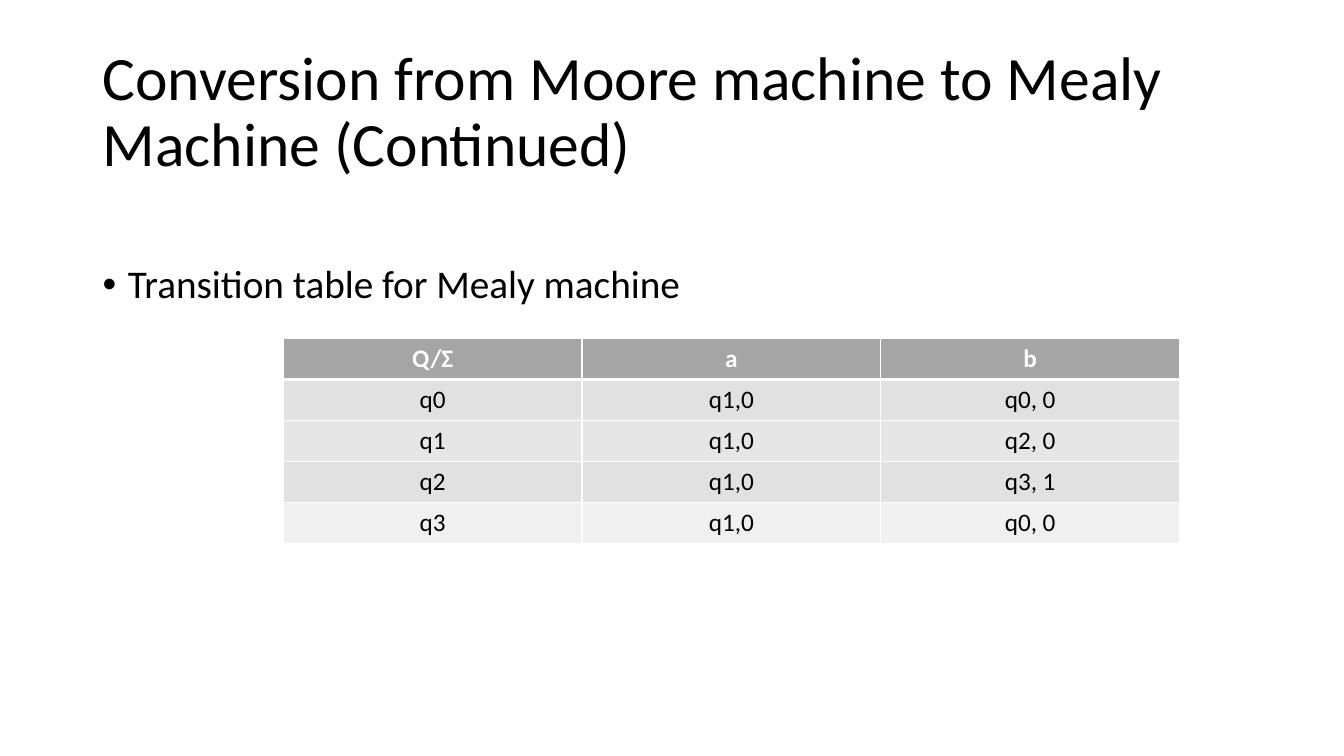
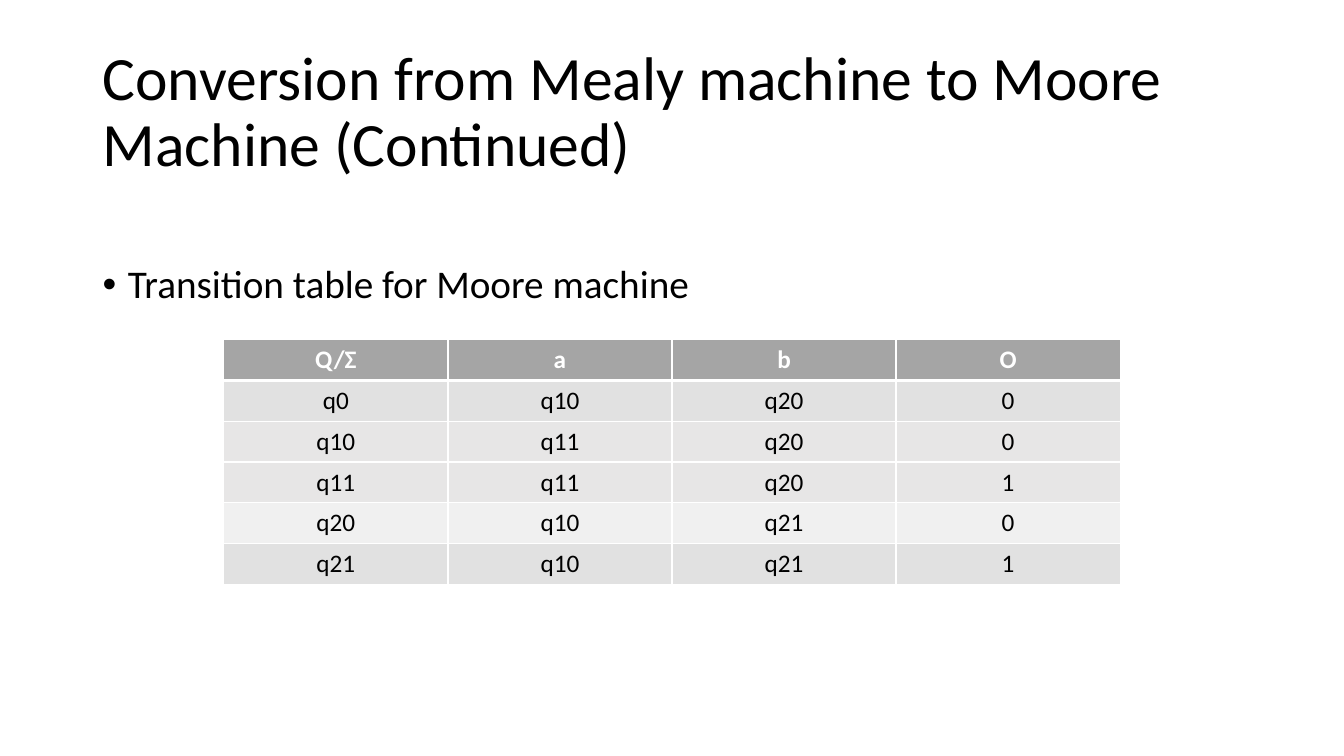
from dataclasses import dataclass

from lxml import etree
from pptx import Presentation
from pptx.dml.color import RGBColor
from pptx.enum.text import MSO_ANCHOR, PP_ALIGN
from pptx.oxml.ns import qn
from pptx.util import Inches, Pt


@dataclass(frozen=True)
class Theme:
    font: str = "Calibri"
    title_size: int = 44
    bullet_size: int = 28
    table_size: int = 18
    line_spacing: float = 0.9
    ink: str = "000000"
    white: str = "FFFFFF"
    header: str = "A5A5A5"
    dark: str = "E1E1E1"
    medium: str = "E7E6E6"
    light: str = "F0F0F0"
    thin_line: int = 1
    header_line: int = 3


THEME = Theme()
MARGIN, TEXT_WIDTH = 0.92, 11.5
TABLE_WIDTH = 8.89

SLIDES = [
    {
        "title": "Conversion from Moore machine to Mealy Machine (Continued)",
        "bullet": "Transition table for Mealy machine",
        "table_left": 2.81, "table_top": 3.36, "table_height": 2.03,
        "header": ("Q/Σ", "a", "b"),
        "rows": [
            (THEME.dark, ("q0", "q1,0", "q0, 0")),
            (THEME.medium, ("q1", "q1,0", "q2, 0")),
            (THEME.dark, ("q2", "q1,0", "q3, 1")),
            (THEME.light, ("q3", "q1,0", "q0, 0")),
        ],
    },
    {
        "title": "Conversion from Mealy machine to Moore Machine (Continued)",
        "bullet": "Transition table for Moore machine",
        "table_left": 2.22, "table_top": 3.37, "table_height": 2.43,
        "header": ("Q/Σ", "a", "b", "O"),
        "rows": [
            (THEME.dark, ("q0", "q10", "q20", "0")),
            (THEME.medium, ("q10", "q11", "q20", "0")),
            (THEME.medium, ("q11", "q11", "q20", "1")),
            (THEME.light, ("q20", "q10", "q21", "0")),
            (THEME.dark, ("q21", "q10", "q21", "1")),
        ],
    },
]


def style_runs(para, size, color=THEME.ink, bold=False):
    for span in para.runs:
        span.font.name = THEME.font
        span.font.size = Pt(size)
        span.font.bold = bold
        span.font.color.rgb = RGBColor.from_string(color)


def add_text(page, text, top, height, size, anchor):
    box = page.shapes.add_textbox(
        Inches(MARGIN), Inches(top), Inches(TEXT_WIDTH), Inches(height))
    frame = box.text_frame
    frame.word_wrap = True
    frame.vertical_anchor = anchor
    frame.text = text
    para = frame.paragraphs[0]
    para.line_spacing = THEME.line_spacing
    style_runs(para, size)
    return para


def add_bullet(para):
    """Give the paragraph a round bullet with a hanging indent."""
    properties = para._p.get_or_add_pPr()
    properties.set("marL", str(Inches(0.25)))
    properties.set("indent", str(-Inches(0.25)))
    etree.SubElement(properties, qn("a:buFont"), typeface="Arial")
    etree.SubElement(properties, qn("a:buChar"), char="•")


def set_borders(cell, top, bottom):
    """Draw white cell borders; top and bottom are widths in points."""
    properties = cell._tc.get_or_add_tcPr()
    widths = {"lnL": THEME.thin_line, "lnR": THEME.thin_line,
              "lnT": top, "lnB": bottom}
    for side, width in widths.items():
        line = etree.SubElement(properties, qn(f"a:{side}"), w=str(Pt(width)))
        fill = etree.SubElement(line, qn("a:solidFill"))
        etree.SubElement(fill, qn("a:srgbClr"), val=THEME.white)


def add_transition_table(page, content):
    rows = [(THEME.header, content["header"]), *content["rows"]]
    table = page.shapes.add_table(
        len(rows), len(content["header"]),
        Inches(content["table_left"]), Inches(content["table_top"]),
        Inches(TABLE_WIDTH), Inches(content["table_height"])).table
    table.horz_banding = False
    for row_index, (fill, values) in enumerate(rows):
        is_header = row_index == 0
        top = THEME.header_line if row_index == 1 else THEME.thin_line
        bottom = THEME.header_line if is_header else THEME.thin_line
        for column_index, value in enumerate(values):
            cell = table.cell(row_index, column_index)
            set_borders(cell, top, bottom)
            cell.fill.solid()
            cell.fill.fore_color.rgb = RGBColor.from_string(fill)
            cell.text_frame.text = value
            para = cell.text_frame.paragraphs[0]
            para.alignment = PP_ALIGN.CENTER
            style_runs(para, THEME.table_size,
                       THEME.white if is_header else THEME.ink, is_header)


def main():
    deck = Presentation()
    deck.slide_width, deck.slide_height = Inches(13.33), Inches(7.5)
    for content in SLIDES:
        page = deck.slides.add_slide(deck.slide_layouts[6])
        add_text(page, content["title"], 0.4, 1.45,
                 THEME.title_size, MSO_ANCHOR.MIDDLE)
        bullet = add_text(page, content["bullet"], 2.58, 0.6,
                          THEME.bullet_size, MSO_ANCHOR.TOP)
        add_bullet(bullet)
        add_transition_table(page, content)
    deck.save("out.pptx")


if __name__ == "__main__":
    main()
